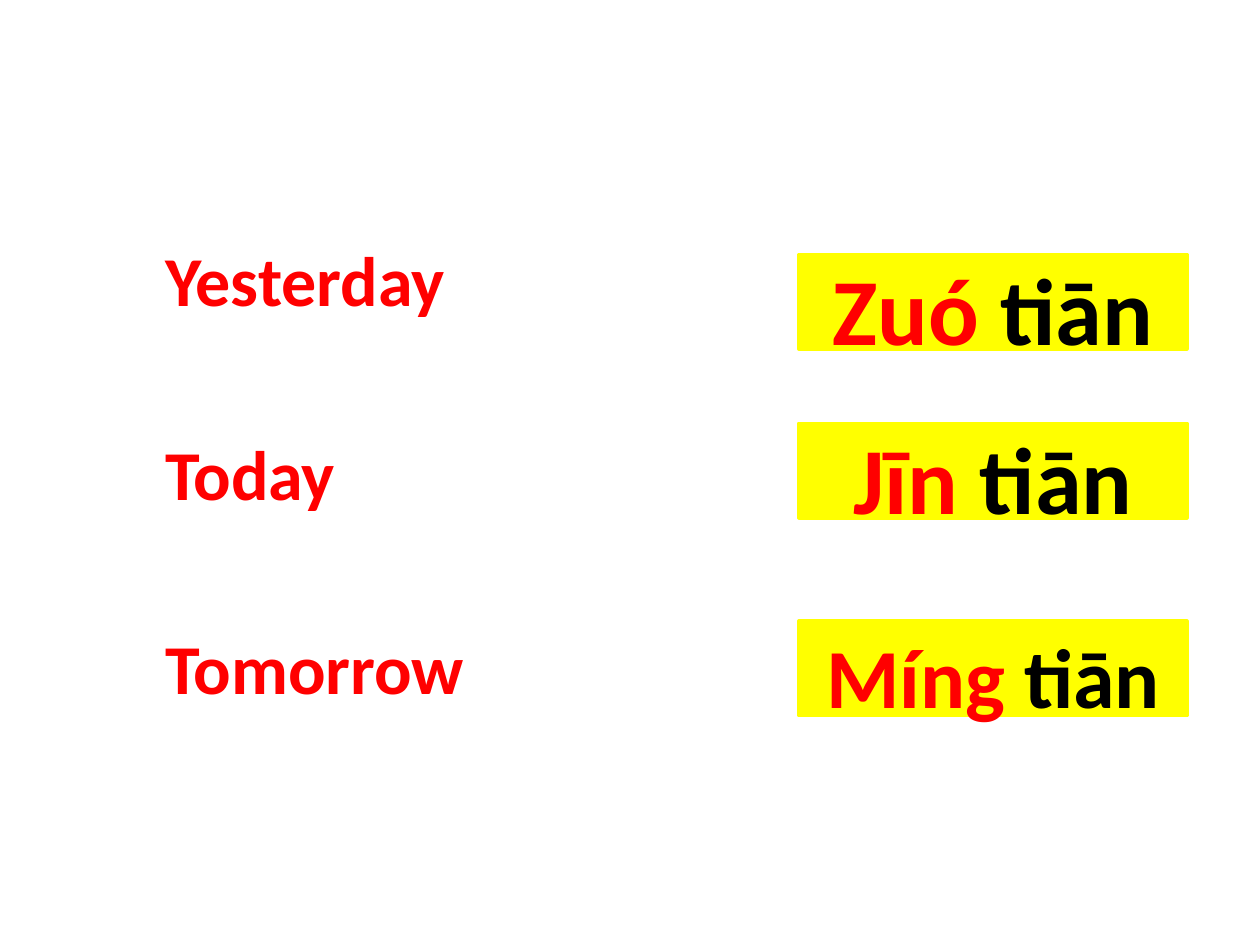
from dataclasses import dataclass

from pptx import Presentation
from pptx.dml.color import RGBColor
from pptx.enum.shapes import MSO_SHAPE as Shape
from pptx.enum.text import MSO_ANCHOR as Anchor, PP_ALIGN as Align
from pptx.slide import Slide
from pptx.util import Inches, Pt

WIDTH, HEIGHT = Inches(10), Inches(7.5)
COLORS = {"accent": "FF0000", "card": "FFFF00", "text": "000000"}
FONT = "Calibri"
DAYS = ("Yesterday", "Today", "Tomorrow")


@dataclass(frozen=True)
class Card:
    """A pinyin card; top is a share of the slide's height."""
    syllable: str
    top: float
    size: int


CARDS = (
    Card("Zuó ", 0.2693, 54),
    Card("Jīn ", 0.448, 54),
    Card("Míng ", 0.6573, 48),
)


def across(share: float) -> int:
    """Turn a share of the slide's width into a length."""
    return round(WIDTH * share)


def down(share: float) -> int:
    """Turn a share of the slide's height into a length."""
    return round(HEIGHT * share)


def add_run(paragraph, text: str, size: int, color: str) -> None:
    """Add one bold run to a paragraph."""
    run = paragraph.add_run()
    run.text = text
    run.font.name = FONT
    run.font.size = Pt(size)
    run.font.bold = True
    run.font.color.rgb = RGBColor.from_string(COLORS[color])


def add_days(slide: Slide) -> None:
    """Add the column of English words."""
    shape = slide.shapes.add_textbox(across(0.033), down(0.033), across(0.942), down(0.877))
    frame = shape.text_frame
    frame.word_wrap = True
    frame.margin_left, frame.margin_top = across(0.098), down(0.217)
    for index, day in enumerate(DAYS):
        paragraph = frame.paragraphs[0] if index == 0 else frame.add_paragraph()
        if index:
            paragraph.space_before = Pt(63)
        add_run(paragraph, day, 40, "accent")


def add_card(slide: Slide, card: Card) -> None:
    """Add one yellow card with its two syllables."""
    shape = slide.shapes.add_shape(
        Shape.RECTANGLE, across(0.634), down(card.top), across(0.308), down(0.1))
    shape.shadow.inherit = False
    shape.fill.solid()
    shape.fill.fore_color.rgb = RGBColor.from_string(COLORS["card"])
    shape.line.color.rgb = RGBColor.from_string(COLORS["card"])
    shape.line.width = Pt(2)
    frame = shape.text_frame
    frame.word_wrap = True
    frame.vertical_anchor = Anchor.MIDDLE
    frame.margin_top, frame.margin_bottom = down(0.0133), 0
    paragraph = frame.paragraphs[0]
    paragraph.alignment = Align.CENTER
    add_run(paragraph, card.syllable, card.size, "accent")
    add_run(paragraph, "tiān", card.size, "text")


def main() -> None:
    """Build the slide and save it."""
    presentation = Presentation()
    presentation.slide_width, presentation.slide_height = WIDTH, HEIGHT
    slide = presentation.slides.add_slide(presentation.slide_layouts[6])
    add_days(slide)
    for card in CARDS:
        add_card(slide, card)
    presentation.save("out.pptx")


if __name__ == "__main__":
    main()
